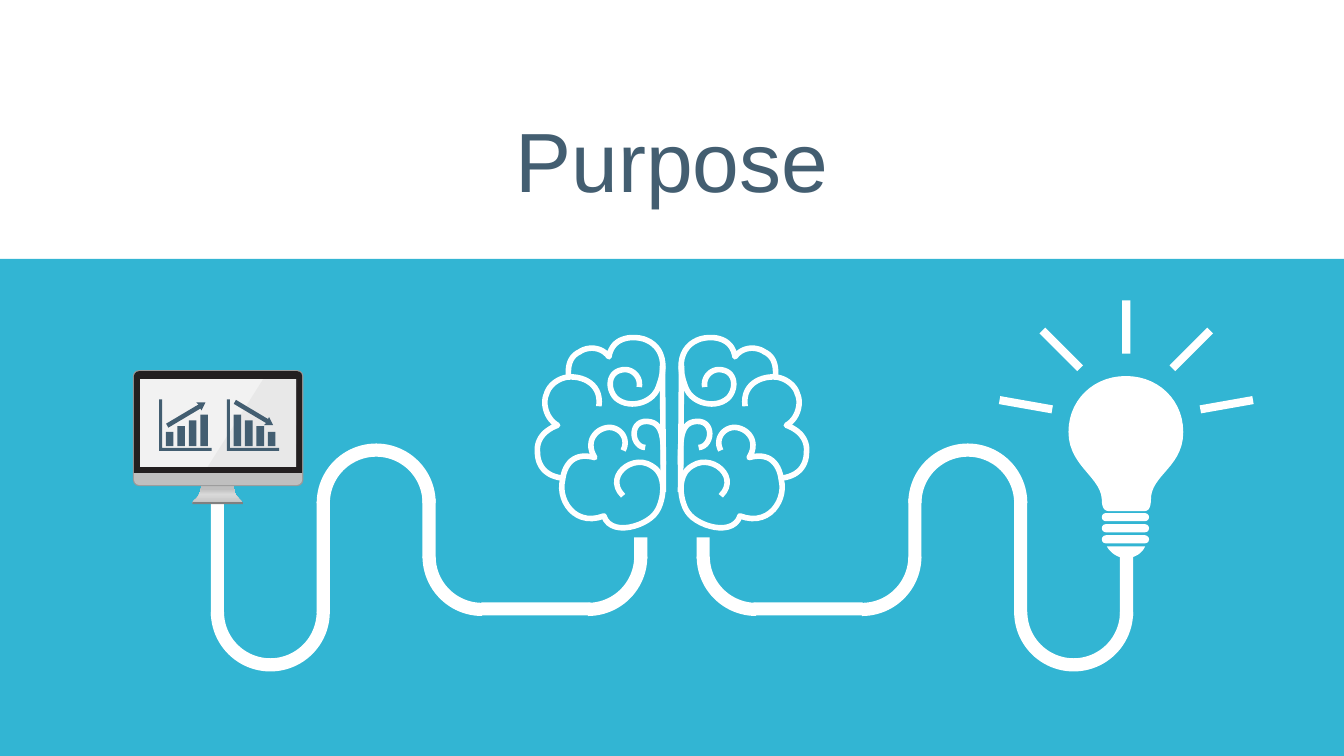
import copy

import pptx
import pptx.dml.color
import pptx.enum.shapes
import pptx.enum.text
import pptx.oxml
import pptx.oxml.ns
import pptx.util

Pt = pptx.util.Pt
SHAPE = pptx.enum.shapes.MSO_SHAPE
COLORS = {
    "white": "FFFFFF", "teal": "32B5D3", "slate": "435E71", "edge": "999999",
    "bezel": "231F20", "chin": "BFBFBF", "shine": "D9D9D9", "foot": "808080",
    "screen": "F2F2F2",
}
BAND_TOP = 185
AXIS = 480  # vertical line about which brain and cables are mirrored

# In every outline a pair is a corner and six numbers are a Bezier segment.
BRAIN_FOLDS = [
    [(23.4, 35.3), (22, 28.1, 28.4, 21.6, 35.6, 23), (45.7, 24.5, 46.4, 36.7, 40, 43.2),
     (31.3, 51.1, 14, 47.5, 9.7, 35.3), (0.4, 11.5, 13.3, 0.7, 25.6, 0),
     (36.4, -0.7, 43.6, 4.3, 45, 13.7), (50.8, 5.8, 60.8, 6.5, 65.9, 10.1),
     (73.8, 13.7, 74.5, 21.6, 73.8, 28.8)],
    [(52.2, 49), (50, 33.1, 63.7, 27.4, 73.8, 28.1), (81.7, 28.8, 88.2, 34.6, 89.6, 40.3),
     (92.5, 46.1, 90.4, 57.6, 81.7, 62.6), (91.8, 66.2, 96.8, 73.4, 96.1, 81.4),
     (96.1, 92.2, 89.6, 98.6, 79.6, 100.1)],
    [(34.9, 80.6), (30.6, 72.7, 36.4, 64.1, 45, 64.1), (54.4, 64.8, 62.3, 74.2, 55.1, 85.7),
     (70.2, 81.4, 76.7, 90.7, 78.1, 101.5), (81.7, 115.9, 69.5, 135.4, 48.6, 127.4),
     (43.6, 142.6, 17.6, 134.6, 11.2, 124.6), (6.1, 117.4, 2.5, 97.9, 14.8, 91.4),
     (28.4, 82.8, 48.6, 99.4, 34.9, 113)],
    [(6.1, 90.7), (6.1, 74.2, 5.4, 60.5, 17.6, 59.8), (30.6, 59, 29.2, 77.8, 19.1, 78.5)],
]
BULB_GLASS = [
    (41, 0), (64, 0, 82, 17, 82, 40), (82, 64, 61, 70, 59, 86), (59, 93, 58, 96.5, 54, 96.5),
    (29, 96.5), (25, 96.5, 23.8, 93, 23.8, 88), (23, 72, 0, 64, 0, 40), (0, 17, 18, 0, 41, 0),
]
BULB_TIP = [(27.4, 121.7), (54.7, 121.7), (52.6, 126.7, 47.5, 129.6, 41.8, 130.3),
            (36, 130.3, 30.2, 126.7, 27.4, 121.7)]
STAND = [(74.9, 90.7), (72, 88.6, 72, 82.8, 72, 82.8), (49, 82.8),
         (49, 82.8, 48.2, 87.8, 46.1, 90.7), (43.2, 93.6, 39.6, 95.8, 46.1, 95.8),
         (74.2, 95.8), (81.4, 95.8, 77, 93.6, 74.9, 90.7)]
GLARE = [(92.9, 6.5), (117.4, 6.5), (116.6, 69.1), (53.3, 69.1)]
CHART_AXES = [(0, 0), (2.2, 0), (2.2, 34.6), (37.4, 34.6), (37.4, 36.7), (0, 36.7)]
CHART_ARROW = [(26.6, 2.2), (33.1, 2.2), (30.2, 7.9), (29.5, 6.5), (6.5, 20.2),
               (5, 17.3), (28.1, 3.6)]


def rgb(name):
    return pptx.dml.color.RGBColor.from_string(COLORS[name])


def paint(shape, color):
    shape.shadow.inherit = False
    shape.fill.solid()
    shape.fill.fore_color.rgb = rgb(color)
    shape.line.fill.background()
    return shape


def add_part(page, kind, left, top, width, height, color="white", rotation=0, adjust=()):
    part = paint(page.shapes.add_shape(kind, Pt(left), Pt(top), Pt(width), Pt(height)), color)
    part.rotation = rotation
    for index, value in enumerate(adjust):
        part.adjustments[index] = value
    return part


def flatten(outline, steps=14):
    """Turn corners and Bezier segments into a list of points."""
    points = [outline[0]]
    for segment in outline[1:]:
        if len(segment) == 2:
            points.append(segment)
            continue
        x0, y0 = points[-1]
        x1, y1, x2, y2, x3, y3 = segment
        for step in range(1, steps + 1):
            t = step / steps
            a, b, c, d = (1 - t) ** 3, 3 * t * (1 - t) ** 2, 3 * t * t * (1 - t), t ** 3
            points.append((a * x0 + b * x1 + c * x2 + d * x3,
                           a * y0 + b * y1 + c * y2 + d * y3))
    return points


def add_outline(page, left, top, outlines, close=True, side=1):
    """Draw outlines as one freeform; side -1 mirrors them about left."""
    builder = None
    for outline in outlines:
        points = [(Pt(left + side * x), Pt(top + y)) for x, y in flatten(outline)]
        if builder is None:
            builder = page.shapes.build_freeform(*points[0])
        else:
            builder.move_to(*points[0])
        builder.add_line_segments(points[1:], close=close)
    return builder.convert_to_shape()


def add_title(page, left, top, width, height):
    box = page.shapes.add_textbox(Pt(left), Pt(top), Pt(width), Pt(height))
    frame = box.text_frame
    frame.word_wrap = True
    frame.vertical_anchor = pptx.enum.text.MSO_ANCHOR.MIDDLE
    frame.text = "Purpose"
    para = frame.paragraphs[0]
    para.alignment = pptx.enum.text.PP_ALIGN.CENTER
    para.line_spacing = Pt(54)
    span = para.runs[0]
    span.font.name = "Arial"
    span.font.size = Pt(60)
    span.font.color.rgb = rgb("slate")


def add_bulb(page, left, top):
    for row in range(3):
        add_part(page, SHAPE.ROUNDED_RECTANGLE, left + 23.8, top + 97.9 + 7.9 * row,
                 33.8, 5.8, adjust=[0.5])
    for outline in (BULB_TIP, BULB_GLASS):
        paint(add_outline(page, left, top, [outline]), "white")
    for angle, offset, middle in [(0, 0, -35), (-45, -46.4, -19), (-80, -71.7, 20.5),
                                  (45, 46.4, -19), (80, 71.7, 20.5)]:
        add_part(page, SHAPE.RECTANGLE, left + 38.4 + offset, top + middle - 19.1,
                 5.8, 38.2, rotation=angle)


def add_brain_half(page, axis, top, side):
    strokes = []
    for fold in BRAIN_FOLDS:
        strokes.append(add_outline(page, axis, top, [fold], close=False, side=side))
        strokes[-1].shadow.inherit = False
        strokes[-1].fill.background()
    edge = page.shapes.add_connector(
        pptx.enum.shapes.MSO_CONNECTOR.STRAIGHT, Pt(axis + side * 6.8), Pt(top + 20.2),
        Pt(axis + side * 6.1), Pt(top + 110.2))
    pptx.oxml.ns.qn("a:effectLst")
    edge._element.spPr.append(pptx.oxml.parse_xml(
        "<a:effectLst %s/>" % pptx.oxml.ns.nsdecls("a")))
    for stroke in strokes + [edge]:
        stroke.line.color.rgb = rgb("white")
        stroke.line.width = Pt(4)


def add_cable(page, axis, top, side, end_top):
    """Lay a winding cable outwards from the axis; its last straight begins at end_top."""
    thick, bend = 9.4, 85
    lanes = [17.6 + 75.6 * lane for lane in range(5)]
    straights = [(lanes[0], 67, thick, 15.1), (58.3, 113.4, 77.8, thick),
                 (lanes[2], 39.6, thick, 42.5), (lanes[3], 41.8, thick, 79.1),
                 (lanes[4], end_top, thick, 123.1 - end_top)]
    inner, outer = (180, 90) if side > 0 else (90, 180)
    bends = [(lanes[0], 38.2, inner, 162), (lanes[1], 38.2, outer, 162),
             (lanes[2], 0, 0, 108), (lanes[3], 77.8, 180, 108)]

    def place(offset, width):
        return axis + offset if side > 0 else axis - offset - width

    for offset, down, width, height in straights:
        add_part(page, SHAPE.RECTANGLE, place(offset, width), top + down, width, height)
    for offset, down, rotation, start in bends:
        add_part(page, SHAPE.BLOCK_ARC, place(offset, bend), top + down, bend, bend,
                 rotation=rotation, adjust=[start, 0, 0.111])


def add_bar_icon(page, left, top, rising):
    outlines = [CHART_AXES,
                [(x, y if rising else 20.5 - y) for x, y in CHART_ARROW]]
    for index in range(4):
        x = 4.8 + 8.2 * index
        y = 33.3 - 10.1 - 4.1 * (index if rising else 3 - index)
        outlines.append([(x, y), (x + 5.4, y), (x + 5.4, 33.3), (x, 33.3)])
    paint(add_outline(page, left, top, outlines), "slate")


def add_monitor(page, left, top):
    stand = paint(add_outline(page, left, top, [STAND]), "chin")
    stand.fill.gradient()
    stand.fill.gradient_angle = 90
    stop_list = stand.fill._fill._gradFill.gsLst
    for _ in range(2):
        stop_list.append(copy.deepcopy(stop_list[0]))
    tones = [(0, "chin"), (0.53, "shine"), (0.83, "chin"), (1, "chin")]
    for stop, (position, tone) in zip(stand.fill.gradient_stops, tones):
        stop.color.rgb = rgb(tone)
        stop.position = position
    for kind, x, y, width, height, color, adjust in [
            (SHAPE.ROUNDED_RECTANGLE, 0, 0, 121.7, 82.8, "edge", [0.05]),
            (SHAPE.ROUNDED_RECTANGLE, 0.7, 0.7, 120.2, 81.4, "chin", [0.05]),
            (SHAPE.ROUND_2_SAME_RECTANGLE, 0.7, 0.7, 120.2, 72.7, "bezel", [0.05, 0]),
            (SHAPE.RECTANGLE, 42.5, 94.3, 36, 1.5, "foot", []),
            (SHAPE.RECTANGLE, 5, 6.5, 111.6, 62.6, "screen", [])]:
        add_part(page, kind, left + x, top + y, width, height, color, adjust=adjust)
    glare = paint(add_outline(page, left, top, [GLARE]), "edge")
    tint = glare._element.spPr.find(".//" + pptx.oxml.ns.qn("a:srgbClr"))
    tint.append(pptx.oxml.parse_xml(
        '<a:alpha %s val="10000"/>' % pptx.oxml.ns.nsdecls("a")))
    add_bar_icon(page, left + 18.7, top + 20.9, rising=True)
    add_bar_icon(page, left + 67, top + 20.9, rising=False)


def main():
    deck = pptx.Presentation()
    deck.slide_width, deck.slide_height = Pt(960), Pt(540)
    page = deck.slides.add_slide(deck.slide_layouts[6])
    add_part(page, SHAPE.RECTANGLE, 0, BAND_TOP, 960, 540 - BAND_TOP, "teal")
    add_title(page, 175.5, 91.4, 609, 62)
    add_bulb(page, 763.2, 268.6)
    for side in (1, -1):
        add_brain_half(page, AXIS, 241.2, side)
    for side, end_top in [(1, 80.6), (-1, 26.6)]:
        add_cable(page, AXIS, 316.8, side, end_top)
    add_monitor(page, 95, 264.4)
    deck.save("out.pptx")


if __name__ == "__main__":
    main()
